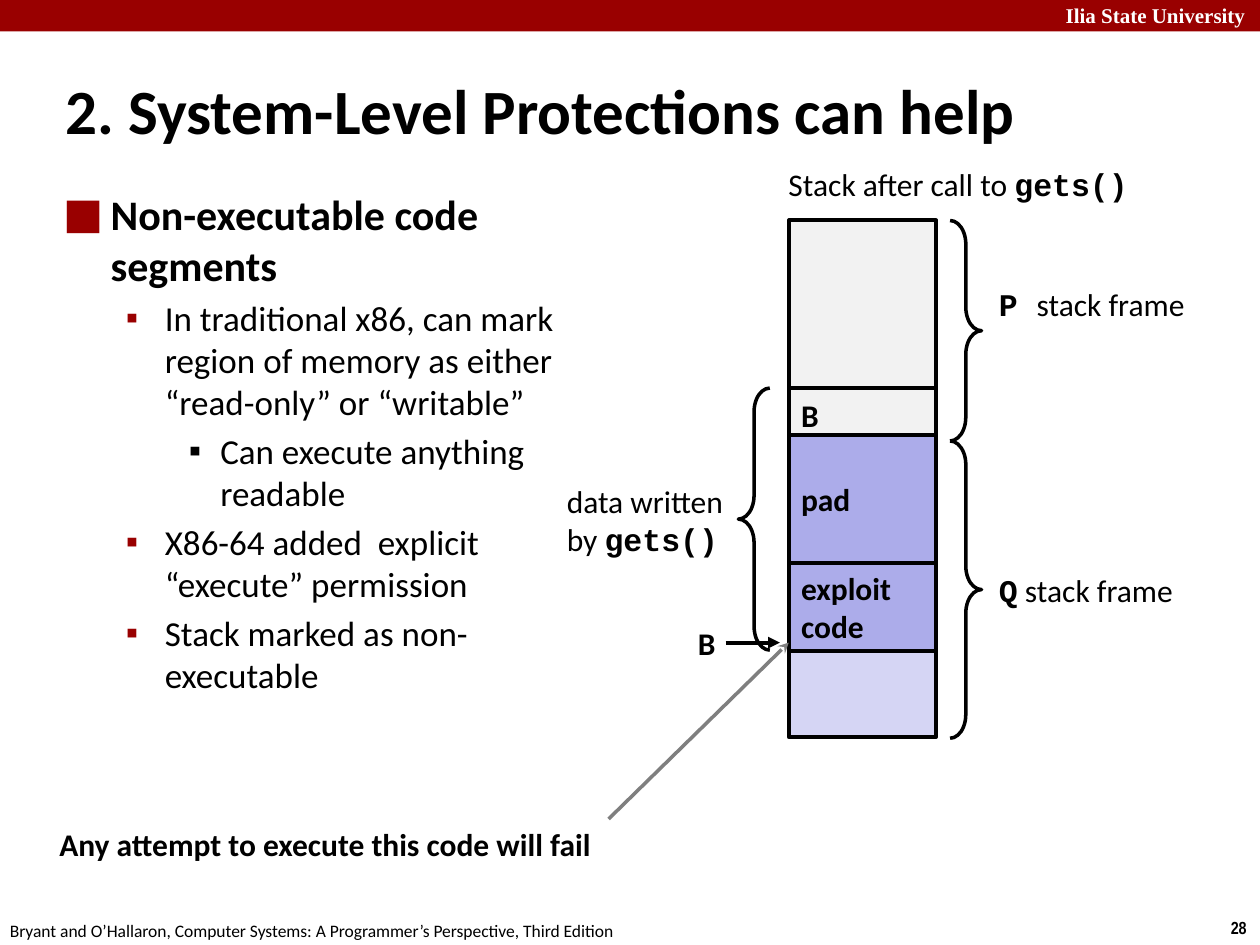
"""Build a slide on system-level protections against stack exploits."""
from lxml import etree
from pptx import Presentation
from pptx.dml.color import RGBColor
from pptx.enum.shapes import MSO_CONNECTOR, MSO_SHAPE
from pptx.enum.text import MSO_ANCHOR, PP_ALIGN
from pptx.oxml.ns import qn
from pptx.util import Inches, Pt

RECT, LEFT_BRACE, RIGHT_BRACE = MSO_SHAPE.RECTANGLE, MSO_SHAPE.LEFT_BRACE, MSO_SHAPE.RIGHT_BRACE
STRAIGHT = MSO_CONNECTOR.STRAIGHT
TOP, MIDDLE = MSO_ANCHOR.TOP, MSO_ANCHOR.MIDDLE
LEFT, RIGHT = PP_ALIGN.LEFT, PP_ALIGN.RIGHT
RED, BLACK, WHITE, GRAY = "990000", "000000", "FFFFFF", "7F7F7F"

LABEL = {"name": "Calibri", "size": Pt(18), "bold": False}
STRONG = {**LABEL, "bold": True}
CODE = {**STRONG, "name": "Courier New"}
TITLE = {**STRONG, "size": Pt(36)}
HEADING = {**STRONG, "size": Pt(24)}
ITEM = {**LABEL, "size": Pt(20)}
SMALL = {**LABEL, "size": Pt(10)}
NUMBER = {"name": "Arial Narrow", "size": Pt(10), "bold": True}
SCHOOL = {"name": "Times New Roman", "size": Pt(12), "bold": True}


def rgb(color):
    """Turn a hex string into a colour."""
    return RGBColor.from_string(color)


def write(sp, lines, anchor=MIDDLE, align=LEFT, color=BLACK):
    """Write lines, each a list of (text, format) pairs, into a shape."""
    tf = sp.text_frame
    tf.word_wrap = True
    tf.vertical_anchor = anchor
    for i, line in enumerate(lines):
        p = tf.paragraphs[0] if i == 0 else tf.add_paragraph()
        p.alignment = align
        for text, fmt in line:
            r = p.add_run()
            r.text = text
            for key, value in fmt.items():
                setattr(r.font, key, value)
            r.font.color.rgb = rgb(color)


prs = Presentation()
prs.slide_width, prs.slide_height = Inches(10), Inches(7.5)
s = prs.slides.add_slide(prs.slide_layouts[6])

bar = s.shapes.add_shape(RECT, 0, 0, prs.slide_width, Inches(0.25))
bar.shadow.inherit = False
bar.fill.solid()
bar.fill.fore_color.rgb = rgb(RED)
bar.line.fill.background()

bullets = [
    (0, "Non-executable code segments"),
    (1, "In traditional x86, can mark region of memory as either “read-only” or “writable”"),
    (2, "Can execute anything readable"),
    (1, "X86-64 added  explicit “execute” permission"),
    (1, "Stack marked as non-executable"),
]
levels = [
    (0.38, -0.38, "■", 160, RED, HEADING),
    (0.81, -0.31, "▪", 100, RED, ITEM),
    (1.25, -0.25, "▪", 100, BLACK, ITEM),
]
body = s.shapes.add_textbox(Inches(0.4), Inches(1.45), Inches(4.43), Inches(5.71))
write(body, [[(text, levels[level][-1])] for level, text in bullets], TOP)
for p, (level, text) in zip(body.text_frame.paragraphs, bullets):
    margin, indent, char, percent, color, fmt = levels[level]
    p.space_before = Pt(4 if level else 0)
    pPr = p._p.get_or_add_pPr()
    pPr.set("marL", str(Inches(margin)))
    pPr.set("indent", str(Inches(indent)))
    buClr = etree.SubElement(pPr, qn("a:buClr"))
    etree.SubElement(buClr, qn("a:srgbClr"), val=color)
    etree.SubElement(pPr, qn("a:buSzPct"), val=str(percent * 1000))
    etree.SubElement(pPr, qn("a:buFont"), typeface="Arial")
    etree.SubElement(pPr, qn("a:buChar"), char=char)

stack_left, stack_width = 6.26, 1.17
for top, height, fill, words in [
    (3.08, 0.42, "F2F2F2", ["B"]),
    (1.75, 1.33, "F2F2F2", []),
    (5.17, 0.68, "D5D5F4", []),
    (4.46, 0.71, "ACACEA", ["exploit", "code"]),
    (3.45, 1.02, "ACACEA", ["pad"]),
]:
    sp = s.shapes.add_shape(RECT, Inches(stack_left), Inches(top), Inches(stack_width), Inches(height))
    sp.shadow.inherit = False
    sp.fill.solid()
    sp.fill.fore_color.rgb = rgb(fill)
    sp.line.color.rgb = rgb(BLACK)
    sp.line.width = Pt(2.25)
    write(sp, [[(word, STRONG)] for word in words])

for kind, left, top, height in [
    (RIGHT_BRACE, 7.54, 1.75, 1.75),
    (RIGHT_BRACE, 7.54, 3.5, 2.36),
    (LEFT_BRACE, 5.86, 3.08, 2.08),
]:
    sp = s.shapes.add_shape(kind, Inches(left), Inches(top), Inches(0.25), Inches(height))
    sp.shadow.inherit = False
    sp.adjustments[0] = 0.75
    sp.fill.background()
    sp.line.color.rgb = rgb(BLACK)
    sp.line.width = Pt(2)

for x1, y1, x2, y2, color, width, head in [
    (5.76, 5.1, 6.19, 5.1, BLACK, 2.25, "triangle"),
    (4.83, 6.5, stack_left, 5.1, GRAY, 2, "stealth"),
]:
    arrow = s.shapes.add_connector(STRAIGHT, Inches(x1), Inches(y1), Inches(x2), Inches(y2))
    arrow.line.color.rgb = rgb(color)
    arrow.line.width = Pt(width)
    etree.SubElement(arrow.line._get_or_add_ln(), qn("a:tailEnd"), type=head)
    etree.SubElement(arrow._element.spPr, qn("a:effectLst"))

citation = "Bryant and O’Hallaron, Computer Systems: A Programmer’s Perspective, Third Edition"
for left, top, width, height, lines, anchor, align, color in [
    (8.36, -0.03, 1.71, 0.3, [[("Ilia State University", SCHOOL)]], TOP, LEFT, WHITE),
    (9.67, 7.23, 0.34, 0.27, [[("28", NUMBER)]], TOP, LEFT, BLACK),
    (-0.02, 7.25, 5.08, 0.27, [[(citation, SMALL)]], TOP, LEFT, BLACK),
    (0.42, 0.58, 8.83, 0.58, [[("2. System-Level Protections can help", TITLE)]], MIDDLE, LEFT, BLACK),
    (6.16, 1.26, 2.93, 0.4, [[("Stack after call to ", LABEL), ("gets()", CODE)]], TOP, LEFT, BLACK),
    (7.83, 2.21, 1.7, 0.4, [[("P ", CODE), ("stack frame", LABEL)]], MIDDLE, LEFT, BLACK),
    (7.83, 4.48, 1.61, 0.4, [[("Q", CODE), (" stack frame", LABEL)]], MIDDLE, LEFT, BLACK),
    (5.44, 4.9, 0.34, 0.4, [[("B", STRONG)]], MIDDLE, LEFT, BLACK),
    (4.4, 3.77, 1.5, 0.71, [[("data written", LABEL)], [("by ", LABEL), ("gets()", CODE)]], MIDDLE, LEFT, BLACK),
    (0.29, 6.5, 4.5, 0.4, [[("Any attempt to execute this code will fail", STRONG)]], TOP, RIGHT, BLACK),
]:
    sp = s.shapes.add_textbox(Inches(left), Inches(top), Inches(width), Inches(height))
    write(sp, lines, anchor, align, color)

prs.save("out.pptx")
